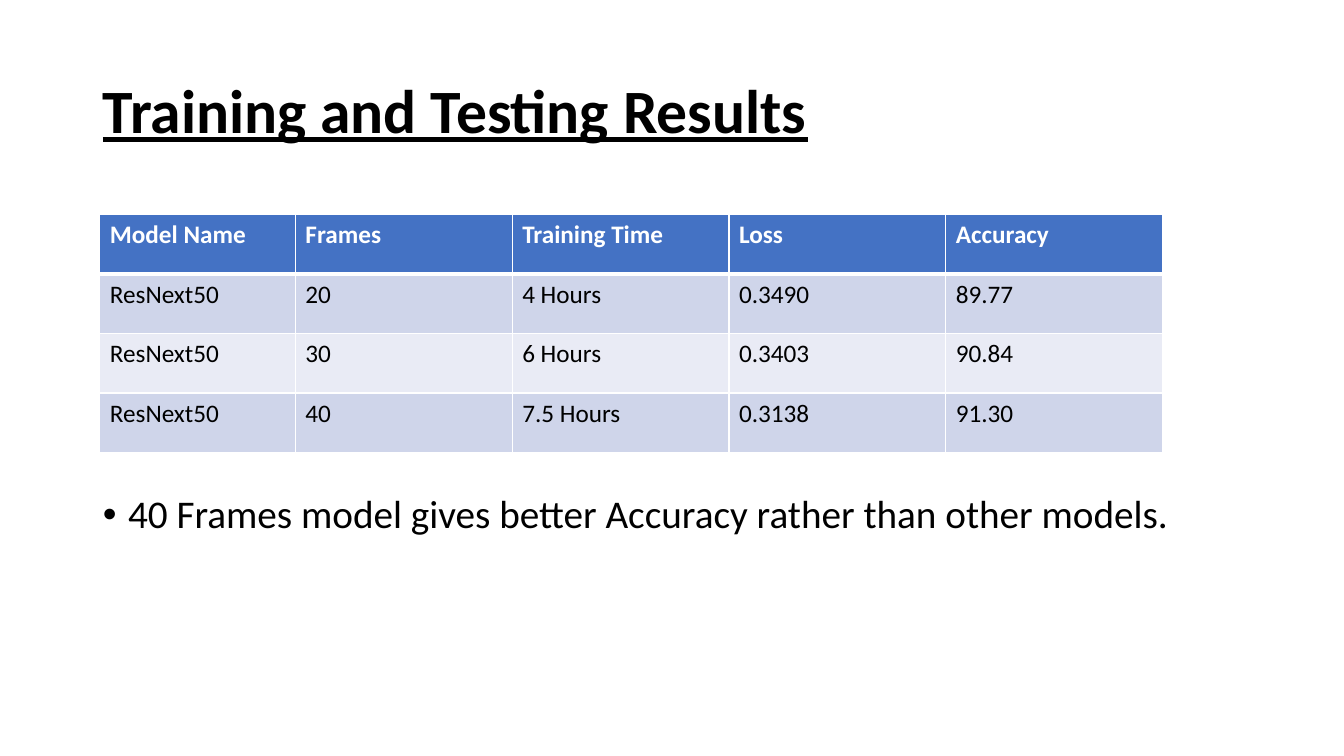
import pptx
import pptx.dml.color
import pptx.enum.text
import pptx.oxml
import pptx.oxml.ns
import pptx.util
from pptx.util import Inches

RGBColor = pptx.dml.color.RGBColor
BLACK = RGBColor(0x00, 0x00, 0x00)
WHITE = RGBColor(0xFF, 0xFF, 0xFF)
HEADER_BLUE = RGBColor(0x44, 0x72, 0xC4)
BAND_DARK = RGBColor(0xCF, 0xD5, 0xEA)
BAND_LIGHT = RGBColor(0xE9, 0xEB, 0xF5)

TITLE = "Training and Testing Results"
CONCLUSION = "40 Frames model gives better Accuracy rather than other models."
RESULTS = [
    ("Model Name", "Frames", "Training Time", "Loss", "Accuracy"),
    ("ResNext50", "20", "4 Hours", "0.3490", "89.77"),
    ("ResNext50", "30", "6 Hours", "0.3403", "90.84"),
    ("ResNext50", "40", "7.5 Hours", "0.3138", "91.30"),
]
COLUMN_WIDTHS = (1.94, 2.15, 2.15, 2.15, 2.15)
ROW_HEIGHT = 0.59


def write_text(text_frame, text, size, color=BLACK, bold=False, underline=False, line_spacing=None):
    """Write one left-aligned paragraph and return it."""
    paragraph = text_frame.paragraphs[0]
    paragraph.alignment = pptx.enum.text.PP_ALIGN.LEFT
    paragraph.space_before = pptx.util.Pt(0)
    paragraph.line_spacing = line_spacing
    run = paragraph.add_run()
    run.text = text
    run.font.name = "Calibri"
    run.font.size = pptx.util.Pt(size)
    run.font.color.rgb = color
    run.font.bold = bold
    run.font.underline = underline
    return paragraph


def place(shape, left, top, width, height):
    """Move and size a shape in inches."""
    shape.left, shape.top = Inches(left), Inches(top)
    shape.width, shape.height = Inches(width), Inches(height)


def add_bullet(paragraph):
    """Give a paragraph a hanging round bullet."""
    properties = paragraph._p.get_or_add_pPr()
    properties.set("marL", str(Inches(0.25)))
    properties.set("indent", str(-Inches(0.25)))
    namespace = pptx.oxml.ns.nsdecls("a")
    properties.append(pptx.oxml.parse_xml(f'<a:buFont {namespace} typeface="Arial"/>'))
    properties.append(pptx.oxml.parse_xml(f'<a:buChar {namespace} char="•"/>'))


def set_borders(cell, top, bottom):
    """Draw white borders round a cell, with widths in points."""
    properties = cell._tc.get_or_add_tcPr()
    widths = {"lnL": 1, "lnR": 1, "lnT": top, "lnB": bottom}
    for position, (side, width) in enumerate(widths.items()):
        properties.insert(position, pptx.oxml.parse_xml(
            f'<a:{side} {pptx.oxml.ns.nsdecls("a")} w="{pptx.util.Pt(width)}">'
            f'<a:solidFill><a:srgbClr val="{WHITE}"/></a:solidFill></a:{side}>'))


def add_results_table(slide):
    """Add the banded table of training results."""
    table = slide.shapes.add_table(
        len(RESULTS), len(COLUMN_WIDTHS), Inches(0.99), Inches(2.13),
        Inches(sum(COLUMN_WIDTHS)), Inches(ROW_HEIGHT * len(RESULTS))).table
    for column, width in zip(table.columns, COLUMN_WIDTHS):
        column.width = Inches(width)
    for row_index, values in enumerate(RESULTS):
        table.rows[row_index].height = Inches(ROW_HEIGHT)
        is_header = row_index == 0
        band = BAND_DARK if row_index % 2 else BAND_LIGHT
        for column_index, value in enumerate(values):
            cell = table.cell(row_index, column_index)
            cell.fill.solid()
            cell.fill.fore_color.rgb = HEADER_BLUE if is_header else band
            write_text(cell.text_frame, value, size=18,
                       color=WHITE if is_header else BLACK, bold=is_header)
            set_borders(cell, top=3 if row_index == 1 else 1, bottom=3 if is_header else 1)


def main():
    """Build and save the results slide."""
    presentation = pptx.Presentation()
    presentation.slide_width, presentation.slide_height = Inches(13.33), Inches(7.5)
    slide = presentation.slides.add_slide(presentation.slide_layouts[1])
    title, body = slide.placeholders
    place(title, 0.92, 0.4, 11.5, 1.45)
    title.text_frame.vertical_anchor = pptx.enum.text.MSO_ANCHOR.MIDDLE
    write_text(title.text_frame, TITLE, size=44, bold=True, underline=True, line_spacing=0.9)
    place(body, 0.92, 4.86, 11.5, 1.9)
    add_bullet(write_text(body.text_frame, CONCLUSION, size=28, line_spacing=0.9))
    add_results_table(slide)
    presentation.save("out.pptx")


if __name__ == "__main__":
    main()
